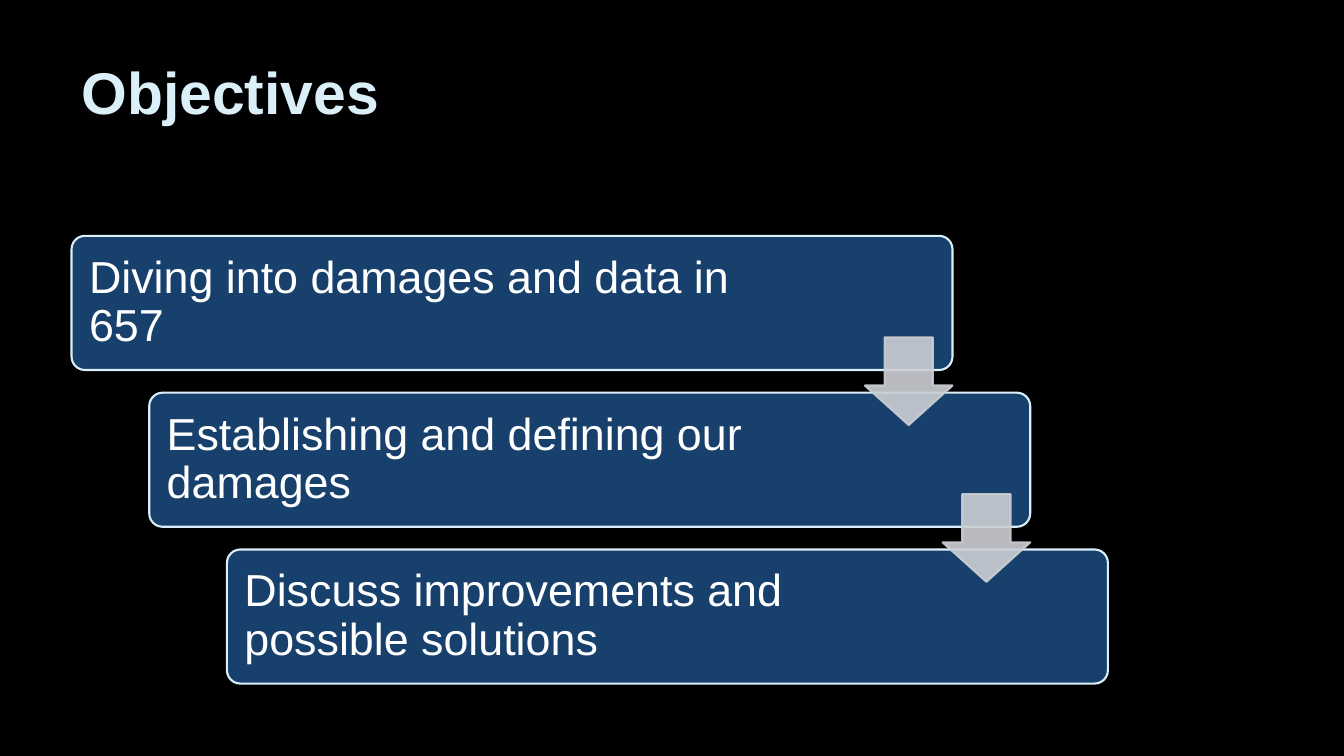
from lxml.etree import SubElement
from pptx import Presentation
from pptx.dml.color import RGBColor
from pptx.enum.shapes import MSO_SHAPE as Preset
from pptx.enum.text import MSO_ANCHOR as Anchor, MSO_AUTO_SIZE as AutoSize, PP_ALIGN as Align
from pptx.oxml.ns import qn
from pptx.util import Pt

BLACK = RGBColor(0x00, 0x00, 0x00)
NAVY = RGBColor(0x17, 0x40, 0x6D)
ICE = RGBColor(0xDB, 0xEF, 0xF9)
WHITE = RGBColor(0xFF, 0xFF, 0xFF)
SILVER = RGBColor(0xCC, 0xCF, 0xD4)
FONT = "Arial"
OBJECTIVES = [
    ("Diving into damages and data in 657", 526.3),
    ("Establishing and defining our damages", 506.2),
    ("Discuss improvements and possible solutions", 506.2),
]
CARD_WIDTH, CARD_HEIGHT = 629.3, 95.8
STEP_RIGHT, STEP_DOWN = 55.5, 112
CARD_INSET = 2.9
ARROW_SIZE, ARROW_DROP = 62.6, 72.5


def add_run(paragraph, text, size, color, bold=False):
    run = paragraph.add_run()
    run.text = text
    run.font.name = FONT
    run.font.size = Pt(size)
    run.font.bold = bold
    run.font.color.rgb = color


def add_preset(slide, preset, box, adjustments, fill, line):
    shape = slide.shapes.add_shape(preset, *map(Pt, box))
    shape.shadow.inherit = False
    for index, value in enumerate(adjustments):
        shape.adjustments[index] = value
    shape.fill.solid()
    shape.fill.fore_color.rgb = fill
    shape.line.color.rgb = line
    shape.line.width = Pt(1.5)
    return shape


def fill_title(slide, left, top, width, height):
    title = slide.shapes.title
    title.left, title.top, title.width, title.height = map(Pt, (left, top, width, height))
    frame = title.text_frame
    frame.auto_size = AutoSize.NONE
    frame.vertical_anchor = Anchor.TOP
    paragraph = frame.paragraphs[0]
    paragraph.alignment = Align.LEFT
    add_run(paragraph, "Objectives", 42, ICE, True)


def add_card(slide, left, top, text, text_width):
    add_preset(slide, Preset.ROUNDED_RECTANGLE, (left, top, CARD_WIDTH, CARD_HEIGHT), [0.1], NAVY, ICE)
    text_box = slide.shapes.add_textbox(
        Pt(left + CARD_INSET), Pt(top + CARD_INSET), Pt(text_width), Pt(CARD_HEIGHT - 2 * CARD_INSET)
    )
    frame = text_box.text_frame
    frame.word_wrap = True
    frame.vertical_anchor = Anchor.MIDDLE
    frame.margin_left = frame.margin_right = frame.margin_top = frame.margin_bottom = Pt(9.6)
    paragraph = frame.paragraphs[0]
    paragraph.line_spacing = 0.9
    add_run(paragraph, text, 32, WHITE)


def add_arrow(slide, card_left, card_top):
    box = (card_left + CARD_WIDTH - ARROW_SIZE, card_top + ARROW_DROP, ARROW_SIZE, ARROW_SIZE)
    arrow = add_preset(slide, Preset.DOWN_ARROW, box, [0.55, 0.45], SILVER, SILVER)
    for color in arrow.element.spPr.iter(qn("a:srgbClr")):
        SubElement(color, qn("a:alpha"), val="90000")


def add_staircase(slide, left, top):
    corners = [(left + step * STEP_RIGHT, top + step * STEP_DOWN) for step in range(len(OBJECTIVES))]
    for corner, (text, text_width) in zip(corners, OBJECTIVES):
        add_card(slide, *corner, text, text_width)
    for corner in corners[:-1]:
        add_arrow(slide, *corner)


def main():
    presentation = Presentation()
    presentation.slide_width = Pt(960)
    presentation.slide_height = Pt(540)
    slide = presentation.slides.add_slide(presentation.slide_layouts[5])
    slide.background.fill.solid()
    slide.background.fill.fore_color.rgb = BLACK
    fill_title(slide, 51.1, 36, 740.9, 110.2)
    add_staircase(slide, 51.1, 168.5)
    presentation.save("out.pptx")


if __name__ == "__main__":
    main()
